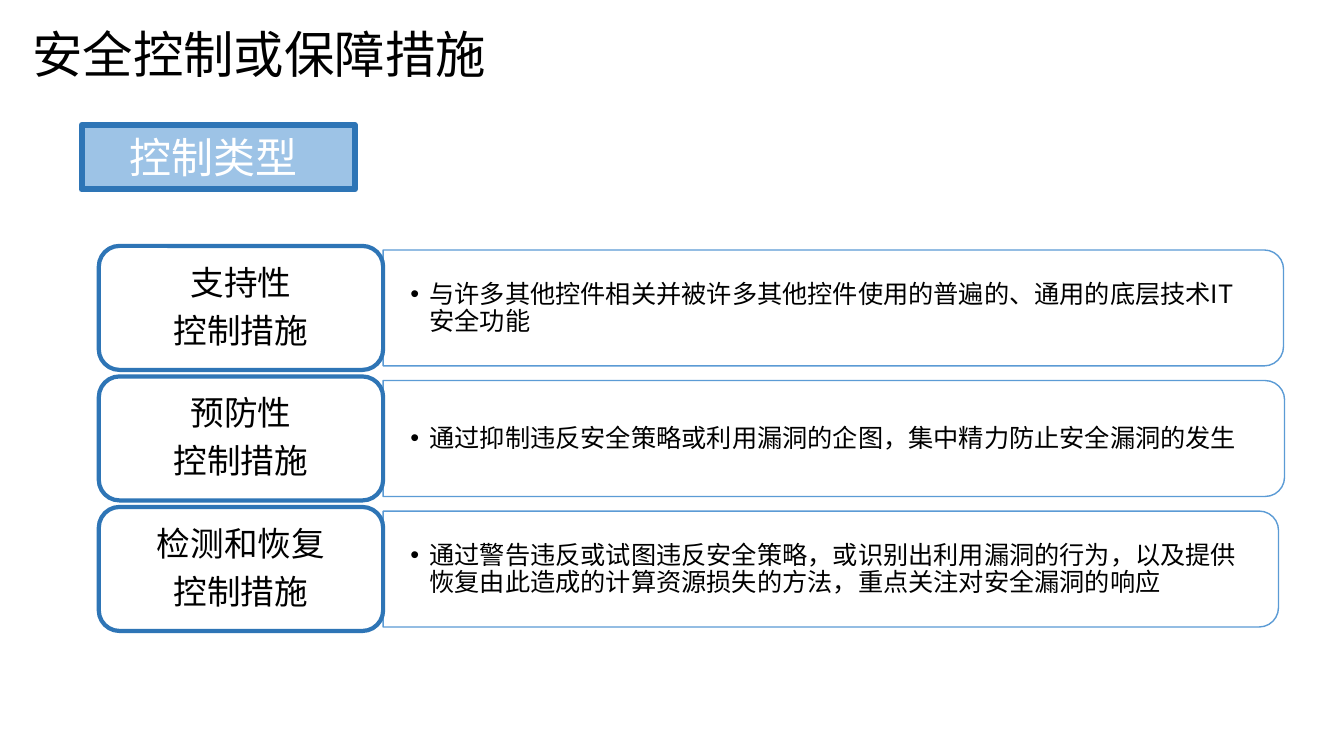
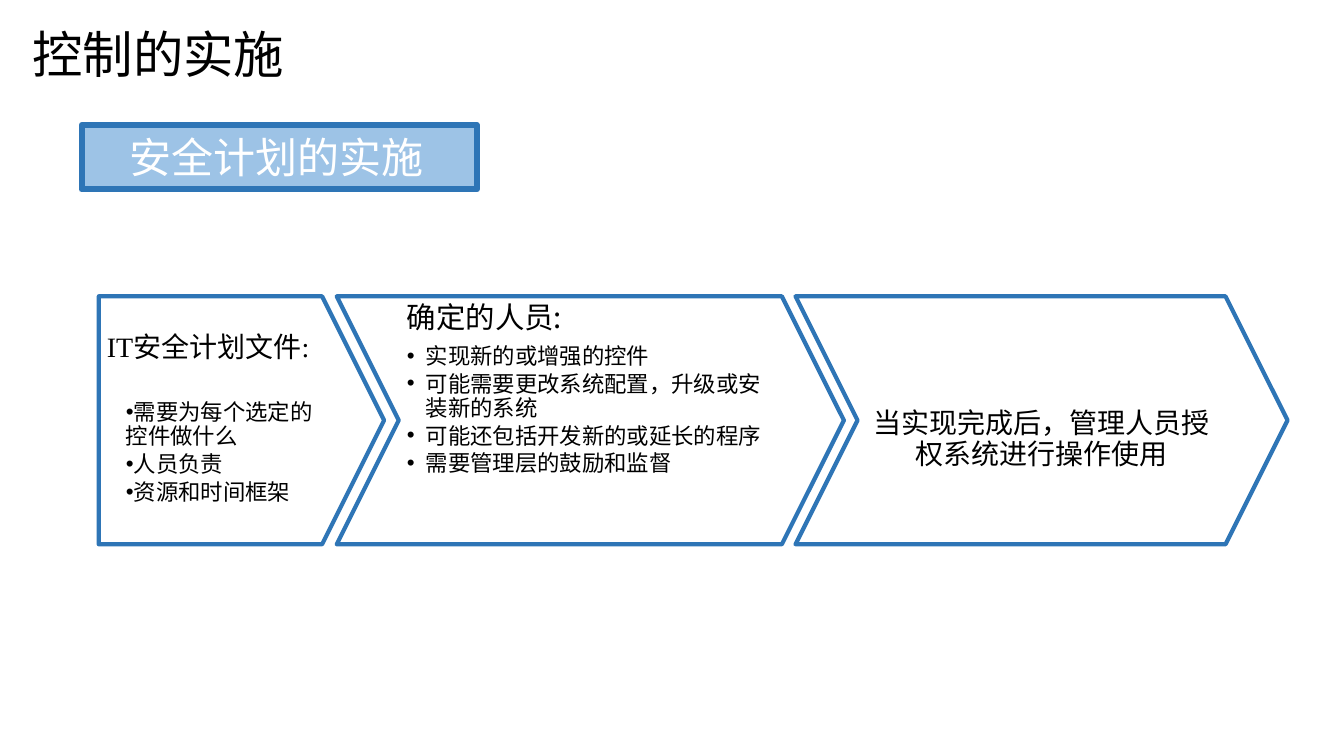
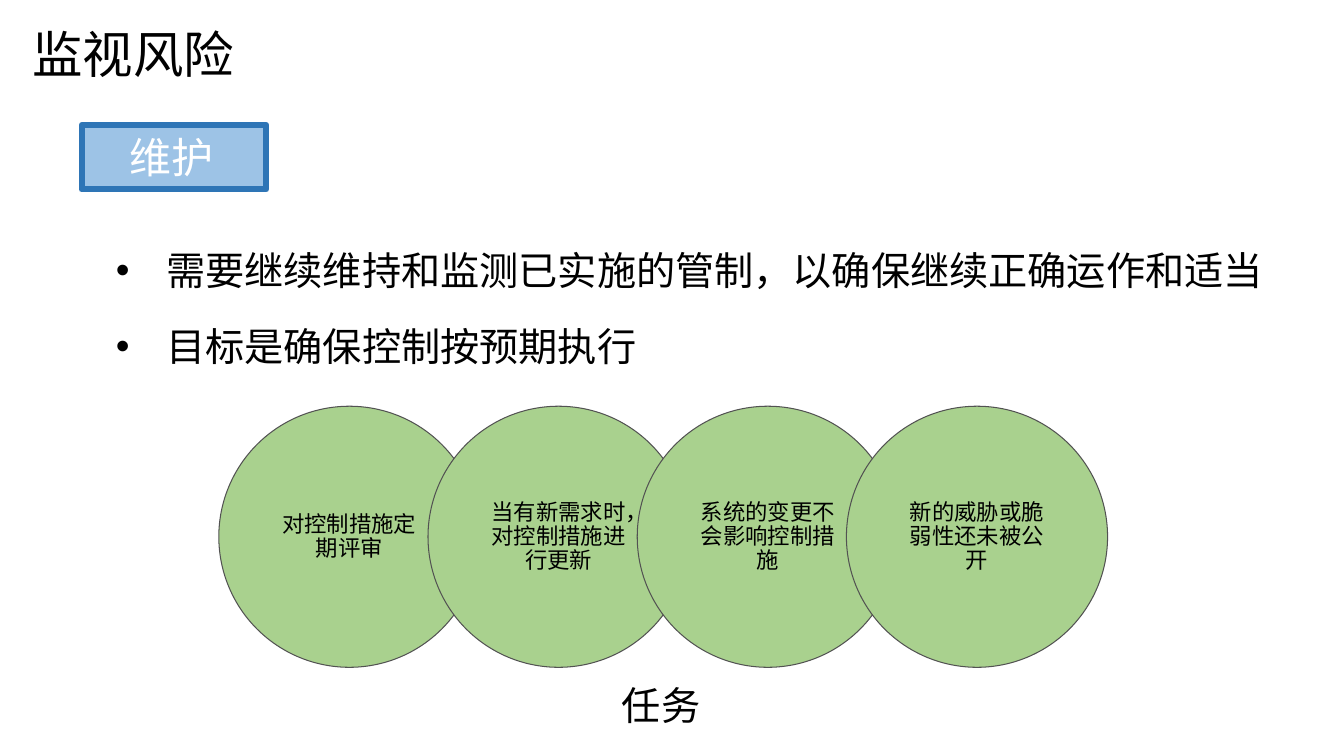
import pptx
import pptx.dml.color
import pptx.enum.shapes
import pptx.enum.text
import pptx.oxml
import pptx.oxml.ns
import pptx.util

Inches = pptx.util.Inches
Pt = pptx.util.Pt
SHAPE = pptx.enum.shapes.MSO_SHAPE
ALIGN = pptx.enum.text.PP_ALIGN
ANCHOR = pptx.enum.text.MSO_ANCHOR
SANS, SERIF = "Noto Sans CJK SC", "Times New Roman"
BLACK, WHITE = "000000", "FFFFFF"
DARK, BLUE, PALE = "2E75B6", "5B9BD5", "9DC3E6"
GREEN, GRAY = "A9D18E", "525252"
LEAD = 1.085


def color(code):
    return pptx.dml.color.RGBColor.from_string(code)


def apply(item, values):
    for name, value in values.items():
        setattr(item, name, value)


def place(item, box):
    apply(item, dict(zip(("left", "top", "width", "height"), map(Inches, box))))


def bullet(para, left, first):
    props = para._p.get_or_add_pPr()
    props.set("marL", str(Inches(left)))
    props.set("indent", str(Inches(first)))
    for tag, key, value in (("buFont", "typeface", "Arial"), ("buChar", "char", "•")):
        mark = pptx.oxml.parse_xml(f'<a:{tag} {pptx.oxml.ns.nsdecls("a")} {key}="{value}"/>')
        props.append(mark)


def line(words, size, gap=0.35, **style):
    return {"words": words, "size": size, "gap": gap, **style}


def write(item, lines, inset=(0.1, 0.05, 0.1, 0.05), anchor=ANCHOR.MIDDLE):
    frame = item.text_frame
    sides = ("margin_left", "margin_top", "margin_right", "margin_bottom")
    apply(frame, dict(zip(sides, map(Inches, inset))))
    apply(frame, {"word_wrap": True, "vertical_anchor": anchor,
                  "auto_size": pptx.enum.text.MSO_AUTO_SIZE.NONE})
    for num, row in enumerate(lines):
        para = frame.add_paragraph() if num else frame.paragraphs[0]
        size = row["size"]
        last = num == len(lines) - 1
        apply(para, {"alignment": row.get("align", ALIGN.LEFT),
                     "line_spacing": Pt(round(size * row.get("lead", LEAD), 1)),
                     "space_before": Pt(0),
                     "space_after": Pt(0 if last else round(size * row["gap"], 1))})
        if "hang" in row:
            bullet(para, *row["hang"])
        run = para.add_run()
        run.text = row["words"]
        apply(run.font, {"size": Pt(size), "name": row.get("face", SANS)})
        run.font.color.rgb = color(row.get("ink", BLACK))
        east = pptx.oxml.parse_xml(f'<a:ea {pptx.oxml.ns.nsdecls("a")} typeface="{SANS}"/>')
        run.font._element.find(pptx.oxml.ns.qn("a:latin")).addnext(east)


def shape(slide, kind, box, edge, weight, fill=None):
    item = slide.shapes.add_shape(kind, *map(Inches, box))
    item.shadow.inherit = False
    if fill:
        item.fill.solid()
        item.fill.fore_color.rgb = color(fill)
    else:
        item.fill.background()
    item.line.color.rgb = color(edge)
    item.line.width = Pt(weight)
    return item


def label(slide, box, lines, **style):
    write(slide.shapes.add_textbox(*map(Inches, box)), lines, **style)


def start(deck, layout, title, topic, width):
    slide = deck.slides.add_slide(deck.slide_layouts[layout])
    place(slide.shapes.title, (0.21, 0, 5.91, 1.06))
    write(slide.shapes.title, [line(title, 36, lead=1.2)], (0.11, 0.06, 0.11, 0.06))
    chip = shape(slide, SHAPE.RECTANGLE, (0.81, 1.24, width, 0.64), DARK, 4.33, PALE)
    write(chip, [line(topic, 30, ink=WHITE)], (0.47, 0.04, 0.4, 0))
    return slide


def control(slide, top, name, text, width):
    left, high = 3.8, 1.15
    panel = (left + (width - high) / 2, top + 0.04 + (high - width) / 2, high, width)
    item = shape(slide, SHAPE.ROUND_2_SAME_RECTANGLE, panel, BLUE, 1, WHITE)
    item.rotation = 90
    label(slide, (left, top + 0.1, width - 0.05, 1.04),
          [line(text, 18, hang=(0.19, -0.19))], inset=(0.27, 0.14, 0.27, 0.14))
    head = shape(slide, SHAPE.ROUNDED_RECTANGLE, (0.98, top, 2.82, 1.23), DARK, 3)
    write(head, [line(words, 24, align=ALIGN.CENTER) for words in (name, "控制措施")])


def step(slide, kind, left, width, lines, inset, anchor=ANCHOR.TOP):
    item = shape(slide, kind, (left, 2.94, width, 2.46), DARK, 3)
    item.adjustments[0] = 0.25
    write(item, lines, inset, anchor)


def types(deck):
    slide = start(deck, 5, "安全控制或保障措施", "控制类型", 2.71)
    rows = (
        ("支持性", "与许多其他控件相关并被许多其他控件使用的普遍的、通用的底层技术IT安全功能", 8.93),
        ("预防性", "通过抑制违反安全策略或利用漏洞的企图，集中精力防止安全漏洞的发生", 8.94),
        ("检测和恢复", "通过警告违反或试图违反安全策略，或识别出利用漏洞的行为，"
         "以及提供恢复由此造成的计算资源损失的方法，重点关注对安全漏洞的响应", 8.88),
    )
    for num, row in enumerate(rows):
        control(slide, 2.44 + num * 1.295, *row)


def plan(deck):
    slide = start(deck, 5, "控制的实施", "安全计划的实施", 3.92)
    files = ("需要为每个选定的控件做什么", "人员负责", "资源和时间框架")
    staff = ("实现新的或增强的控件", "可能需要更改系统配置，升级或安装新的系统",
             "可能还包括开发新的或延长的程序", "需要管理层的鼓励和监督")
    step(slide, SHAPE.PENTAGON, 0.98, 2.83,
         [line("IT安全计划文件:", 20, 1.35, face=SERIF)]
         + [line(words, 16, 0.15, face=SERIF, hang=(0.19, 0)) for words in files],
         (0.08, 0.36, 0.25, 0.04))
    step(slide, SHAPE.CHEVRON, 3.34, 5.03,
         [line("确定的人员:", 21)]
         + [line(words, 16, 0.15, hang=(0.19, -0.19)) for words in staff],
         (0.08, 0.06, 0.08, 0.06))
    step(slide, SHAPE.CHEVRON, 7.89, 4.88,
         [line("当实现完成后，管理人员授权系统进行操作使用", 20,
               face=SERIF, align=ALIGN.CENTER)],
         (0.08, 0.42, 0.08, 0.04), ANCHOR.MIDDLE)


def watch(deck):
    slide = start(deck, 1, "监视风险", "维护", 1.83)
    goals = ("需要继续维持和监测已实施的管制，以确保继续正确运作和适当", "目标是确保控制按预期执行")
    body = slide.placeholders[1]
    place(body, (1.05, 2.16, 11.71, 1.51))
    write(body, [line(words, 28, 0.15, lead=1.8, align=ALIGN.JUSTIFY, hang=(0.5, -0.5))
                 for words in goals], anchor=ANCHOR.TOP)
    tasks = ("对控制措施定期评审", "当有新需求时，对控制措施进行更新",
             "系统的变更不会影响控制措施", "新的威胁或脆弱性还未被公开")
    for num, task in enumerate(tasks):
        disc = shape(slide, SHAPE.OVAL, (2.17 + num * 2.075, 4.03, 2.59, 2.59),
                     GRAY, 0.75, GREEN)
        write(disc, [line(task, 16, align=ALIGN.CENTER)], (0.14, 0.02, 0.14, 0.02))
    label(slide, (6.07, 6.71, 1.67, 0.57), [line("任务", 28, lead=1.2)])


def main():
    deck = pptx.Presentation()
    apply(deck, {"slide_width": Inches(13.33), "slide_height": Inches(7.5)})
    types(deck)
    plan(deck)
    watch(deck)
    deck.save("out.pptx")


if __name__ == "__main__":
    main()
